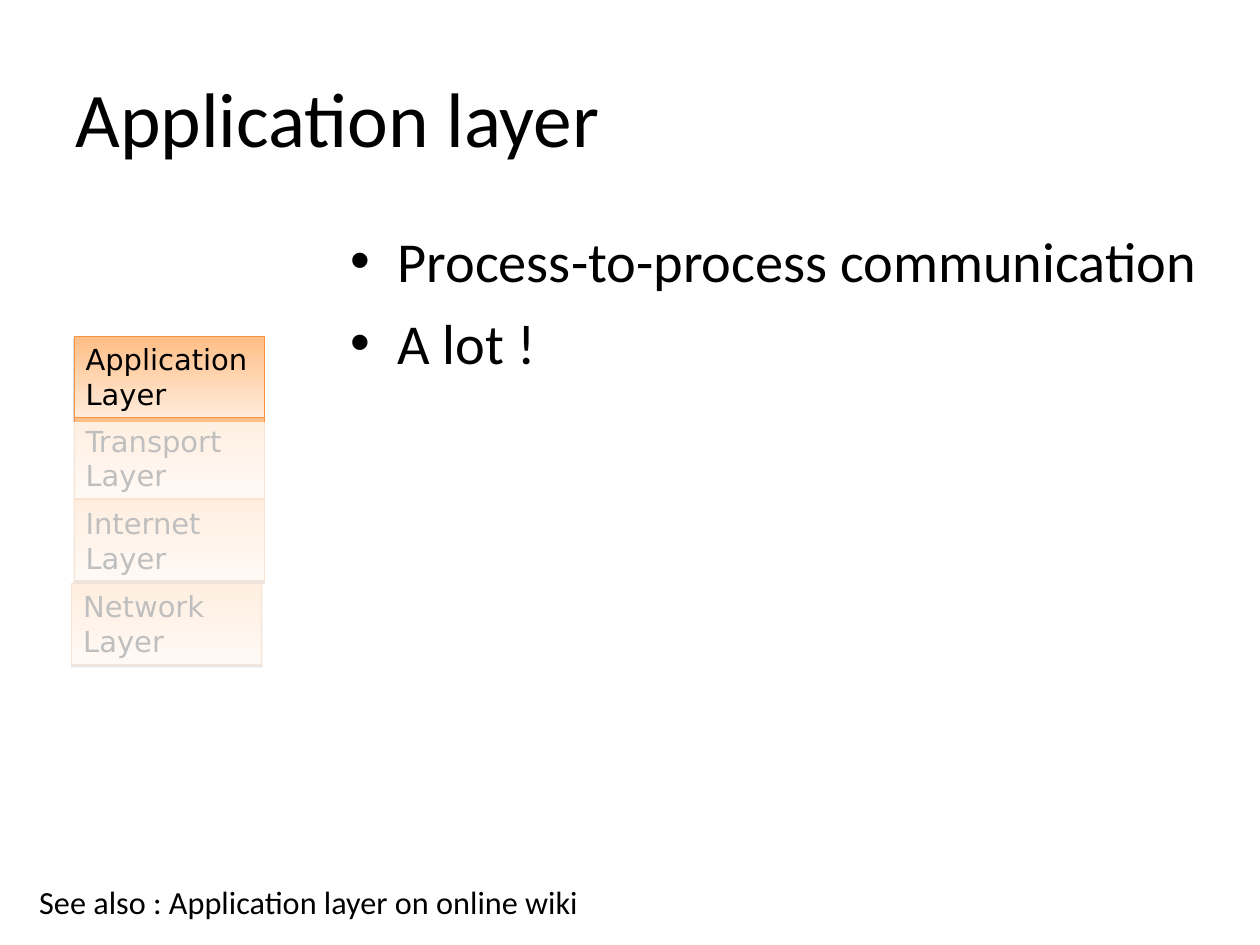
from lxml import etree
from pptx import Presentation
from pptx.dml.color import RGBColor
from pptx.enum.shapes import MSO_SHAPE
from pptx.enum.text import MSO_ANCHOR, MSO_AUTO_SIZE, PP_ALIGN
from pptx.oxml.ns import qn
from pptx.util import Inches, Pt

RECT = MSO_SHAPE.RECTANGLE
MIDDLE, TOP = MSO_ANCHOR.MIDDLE, MSO_ANCHOR.TOP
LEFT = PP_ALIGN.LEFT
FIXED = MSO_AUTO_SIZE.NONE

BLACK = RGBColor(0x00, 0x00, 0x00)
WHITE = RGBColor(0xFF, 0xFF, 0xFF)
ORANGE = RGBColor(0xF6, 0x92, 0x40)
PEACH = RGBColor(0xFF, 0xBE, 0x86)
CREAM = RGBColor(0xFF, 0xEB, 0xDB)

LAYERS = [
    (0.02, 0, ["Application Layer"]),
    (0.02, 0.7, ["Transport", "Layer"]),
    (0.02, 1.41, ["Internet", "Layer"]),
    (0, 2.13, ["Network Layer"]),
]


def place(shape, box):
    """Move a shape to a box of left, top, width and height in inches."""
    shape.left, shape.top, shape.width, shape.height = map(Inches, box)


def write(shape, lines, size, font, anchor=TOP, inset=0.1):
    """Fill a shape with left-aligned black paragraphs."""
    frame = shape.text_frame
    frame.word_wrap = True
    frame.auto_size = FIXED
    frame.vertical_anchor = anchor
    frame.margin_left = frame.margin_right = Inches(inset)
    frame.margin_top = frame.margin_bottom = Inches(0.05)
    frame.text = "\n".join(lines)
    for para in frame.paragraphs:
        para.alignment = LEFT
        para.font.size = Pt(size)
        para.font.name = font
        para.font.color.rgb = BLACK


def add_alpha(node, value):
    """Set the opacity of a colour element in percent."""
    etree.SubElement(node, qn("a:alpha"), val=str(value * 1000))


def add_title(slide, box):
    """Place the slide title."""
    place(slide.shapes.title, box)
    write(slide.shapes.title, ["Application layer"], 48, "Calibri", MIDDLE, 0.11)


def add_list(slide, box):
    """Place the bullet list in the body placeholder."""
    body = slide.placeholders[1]
    place(body, box)
    lines = ["Process-to-process communication", "A lot\u00a0!"]
    write(body, lines, 35, "Calibri", inset=0.11)
    for index, para in enumerate(body.text_frame.paragraphs):
        para.space_before = Pt(8.7 if index else 0)
        props = para._p.get_or_add_pPr()
        props.set("marL", str(Inches(0.41)))
        props.set("indent", str(Inches(-0.41)))


def add_note(slide, box):
    """Place the reference line at the foot."""
    note = slide.shapes.add_textbox(*map(Inches, box))
    write(note, ["See also\u00a0: Application layer on online wiki"], 20, "Calibri")


def add_layer(slide, box, lines):
    """Draw one layer of the stack with its gradient and shadow."""
    layer = slide.shapes.add_shape(RECT, *map(Inches, box))
    layer.fill.gradient()
    layer.fill.gradient_angle = 270
    for stop, color, spot in zip(layer.fill.gradient_stops, (PEACH, CREAM), (0, 1)):
        stop.color.rgb = color
        stop.position = spot
    layer.line.color.rgb = ORANGE
    layer.line.width = Pt(0.75)
    layer.shadow.inherit = False
    effects = layer._element.spPr.find(qn("a:effectLst"))
    shade = etree.SubElement(
        effects, qn("a:outerShdw"), blurRad="0", dist=str(Pt(1.6)),
        dir="5400000", rotWithShape="0")
    add_alpha(etree.SubElement(shade, qn("a:srgbClr"), val=str(BLACK)), 38)
    write(layer, lines, 18, "DejaVu Sans", MIDDLE)


def add_veil(slide, box):
    """Dim the lower layers with a pale sheet."""
    veil = slide.shapes.add_shape(RECT, *map(Inches, box))
    veil.shadow.inherit = False
    veil.fill.solid()
    veil.fill.fore_color.rgb = WHITE
    veil.line.fill.background()
    add_alpha(veil._element.spPr.find(qn("a:solidFill"))[0], 75)


def add_stack(slide, box):
    """Draw the layer stack and highlight its top layer."""
    left, top, width, height = box
    for shift, drop, lines in LAYERS:
        add_layer(slide, (left + shift, top + drop, width, height), lines)
    add_veil(slide, (left - 0.12, top + 0.74, 1.92, 2.23))


def main():
    """Build and save the slide."""
    deck = Presentation()
    deck.slide_width, deck.slide_height = Inches(10.87), Inches(8.15)
    slide = deck.slides.add_slide(deck.slide_layouts[1])
    add_title(slide, (0.54, 0.33, 9.78, 1.36))
    add_list(slide, (2.91, 1.9, 7.8, 5.38))
    add_note(slide, (0.24, 7.56, 10, 0.43))
    add_stack(slide, (0.62, 2.9, 1.64, 0.7))
    deck.save("out.pptx")


if __name__ == "__main__":
    main()
